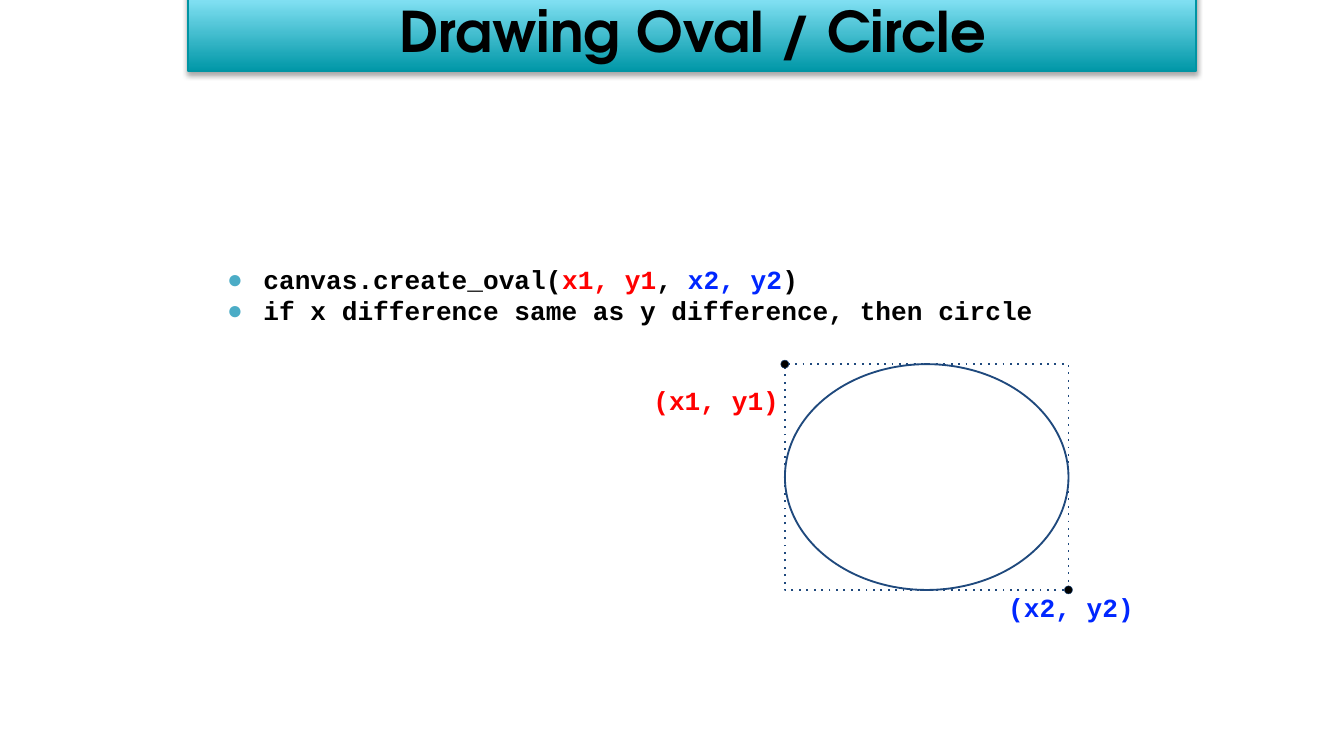
from dataclasses import dataclass

from lxml.etree import SubElement
from pptx import Presentation
from pptx.dml.color import RGBColor
from pptx.enum.shapes import MSO_SHAPE as Preset
from pptx.enum.text import MSO_ANCHOR as Anchor, PP_ALIGN as Align
from pptx.oxml.ns import qn
from pptx.shapes.autoshape import Shape
from pptx.util import Inches, Pt

COLORS = {
    "black": "000000",
    "red": "FF0000",
    "blue": "0027FF",
    "navy": "1F497D",
    "bullet": "4BACC6",
    "banner_dark": "0097A7",
    "banner_light": "94EBFE",
    "banner_line": "0094A3",
}
CODE_FONT = "Courier New"
TITLE_FONT = "TeX Gyre Adventor"
OVAL_LEFT, OVAL_TOP, OVAL_WIDTH, OVAL_HEIGHT = 5.84, 2.71, 2.11, 1.68
DOT_SIZE = 0.06


@dataclass
class Frame:
    left: float
    top: float
    width: float
    height: float

    def lengths(self) -> list[int]:
        return [Inches(v) for v in (self.left, self.top, self.width, self.height)]


@dataclass
class Span:
    text: str
    color: str = "black"


@dataclass
class Corner:
    label: str
    color: str
    x: float
    y: float
    label_left: float
    label_top: float


def rgb(name: str) -> RGBColor:
    return RGBColor.from_string(COLORS[name])


def add_outline(shapes, preset: Preset, frame: Frame, line: str, width: float) -> Shape:
    shape = shapes.add_shape(preset, *frame.lengths())
    shape.shadow.inherit = False
    shape.fill.background()
    shape.line.color.rgb = rgb(line)
    shape.line.width = Pt(width)
    return shape


def add_text(shapes, frame: Frame, lines: list[list[Span]], font: str = CODE_FONT,
             size: float = 14, align: Align = Align.CENTER, inset: float = 0.07,
             bulleted: bool = False) -> Shape:
    box = shapes.add_textbox(*frame.lengths())
    text = box.text_frame
    text.word_wrap = True
    text.margin_left = text.margin_right = Inches(inset)
    text.margin_top = text.margin_bottom = Inches(inset)
    for index, spans in enumerate(lines):
        para = text.add_paragraph() if index else text.paragraphs[0]
        para.alignment = align
        if bulleted:
            add_bullet(para)
        para.font.name = font
        para.font.size = Pt(size)
        para.font.bold = True
        for span in spans:
            run = para.add_run()
            run.text = span.text
            run.font.color.rgb = rgb(span.color)
    return box


def add_bullet(para) -> None:
    props = para._p.get_or_add_pPr()
    props.set("marL", str(Inches(0.38)))
    props.set("indent", str(Inches(-0.27)))
    color = SubElement(props, qn("a:buClr"))
    SubElement(color, qn("a:srgbClr"), val=COLORS["bullet"])
    SubElement(props, qn("a:buFont"), typeface="Arial")
    SubElement(props, qn("a:buChar"), char="●")


def add_shadow(shape: Shape) -> None:
    effects = shape._element.spPr.find(qn("a:effectLst"))
    shadow = SubElement(effects, qn("a:outerShdw"), blurRad=str(Pt(3)),
                        dist=str(Pt(1.8)), dir="5400000", rotWithShape="0")
    color = SubElement(shadow, qn("a:srgbClr"), val=COLORS["black"])
    SubElement(color, qn("a:alpha"), val="35000")


def add_banner(page, title: str) -> None:
    group = page.shapes.add_group_shape()
    banner = add_outline(group.shapes, Preset.RECTANGLE,
                         Frame(1.4, -0.08, 7.5, 0.61), "banner_line", 0.75)
    banner.fill.gradient()
    banner.fill.gradient_angle = 90
    for stop, color, position in zip(banner.fill.gradient_stops,
                                     ("banner_dark", "banner_light"), (0, 1)):
        stop.color.rgb = rgb(color)
        stop.position = position
    add_shadow(banner)
    box = add_text(group.shapes, Frame(1.44, -0.08, 7.43, 0.61), [[Span(title)]],
                   font=TITLE_FONT, size=30, inset=0.04)
    box.text_frame.vertical_anchor = Anchor.MIDDLE


def add_corner(page, corner: Corner) -> None:
    dot = add_outline(page.shapes, Preset.OVAL,
                      Frame(corner.x - DOT_SIZE / 2, corner.y - DOT_SIZE / 2,
                            DOT_SIZE, DOT_SIZE), "navy", 0.25)
    dot.fill.solid()
    dot.fill.fore_color.rgb = rgb("black")
    add_text(page.shapes, Frame(corner.label_left, corner.label_top, 2.46, 0.37),
             [[Span(corner.label, corner.color)]])


def main() -> None:
    deck = Presentation()
    deck.slide_width = Inches(10)
    deck.slide_height = Inches(10) * 9 // 16
    page = deck.slides.add_slide(deck.slide_layouts[6])

    body = add_text(page.shapes, Frame(1.51, 1.65, 6.99, 2.8), [
        [Span("canvas.create_oval("), Span("x1, y1", "red"), Span(", "),
         Span("x2, y2", "blue"), Span(")")],
        [Span("if x difference same as y difference, then circle")],
    ], align=Align.LEFT, bulleted=True)
    body.text_frame.margin_top = Inches(0.31)

    bounds = Frame(OVAL_LEFT, OVAL_TOP, OVAL_WIDTH, OVAL_HEIGHT)
    bounding_box = add_outline(page.shapes, Preset.RECTANGLE, bounds, "navy", 1)
    SubElement(bounding_box.line._get_or_add_ln(), qn("a:prstDash"), val="dot")
    add_outline(page.shapes, Preset.OVAL, bounds, "navy", 1)

    for corner in (
        Corner("(x2, y2)", "blue", OVAL_LEFT + OVAL_WIDTH, OVAL_TOP + OVAL_HEIGHT, 6.74, 4.33),
        Corner("(x1, y1)", "red", OVAL_LEFT, OVAL_TOP, 4.1, 2.79),
    ):
        add_corner(page, corner)

    add_banner(page, "Drawing Oval / Circle")
    deck.save("out.pptx")


if __name__ == "__main__":
    main()
